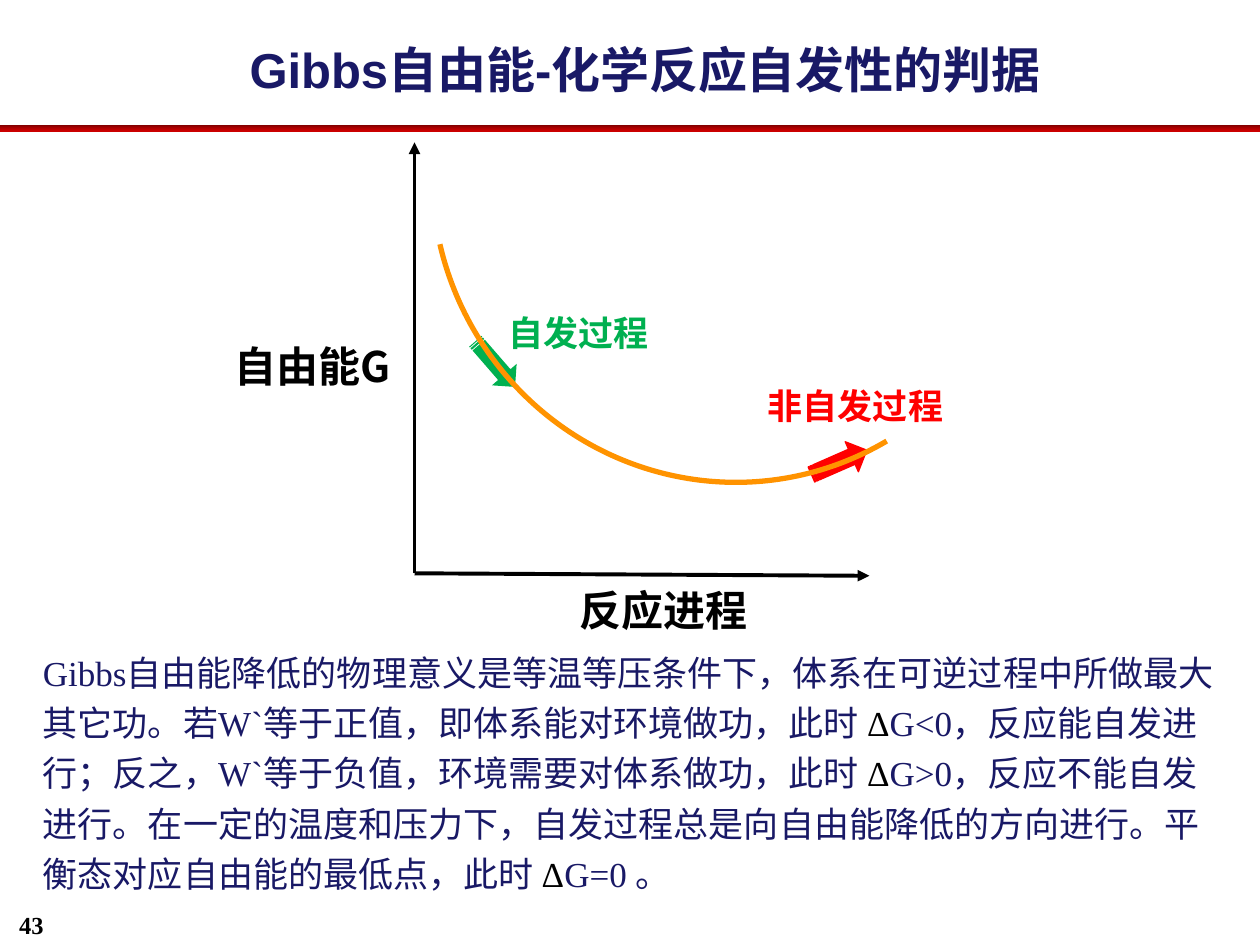
from copy import deepcopy
from dataclasses import dataclass

from lxml import etree
from pptx import Presentation
from pptx.dml.color import RGBColor
from pptx.enum.shapes import MSO_CONNECTOR, MSO_SHAPE
from pptx.enum.text import MSO_ANCHOR, MSO_AUTO_SIZE, PP_ALIGN
from pptx.oxml.ns import qn
from pptx.util import Inches, Pt

STRAIGHT = MSO_CONNECTOR.STRAIGHT
RECTANGLE, ARC = MSO_SHAPE.RECTANGLE, MSO_SHAPE.ARC
STRIPED_ARROW = MSO_SHAPE.STRIPED_RIGHT_ARROW
LEFT, CENTER = PP_ALIGN.LEFT, PP_ALIGN.CENTER
TOP, MIDDLE = MSO_ANCHOR.TOP, MSO_ANCHOR.MIDDLE
NO_FIT = MSO_AUTO_SIZE.NONE


@dataclass(frozen=True)
class Theme:
    navy: str = "191966"
    black: str = "000000"
    green: str = "00B050"
    red: str = "FF0000"
    orange: str = "FF9300"
    rule: tuple = ("790000", "AC0000", "CC0000")
    heading_font: str = "Arial"
    text_font: str = "Times New Roman"
    label_font: str = "Noto Sans CJK SC"
    title_size: int = 28
    axis_size: int = 24
    text_size: int = 20
    number_size: int = 14


@dataclass(frozen=True)
class Box:
    left: float
    top: float
    width: float
    height: float

    def inner(self, left, top, width, height):
        return Box(self.left + left, self.top + top, width, height)

    def emu(self):
        return [Inches(v) for v in (self.left, self.top, self.width, self.height)]


THEME = Theme()


def rgb(value):
    return RGBColor.from_string(value)


def style(paragraph, font, size, color, bold=False, align=LEFT):
    paragraph.alignment = align
    paragraph.font.name = font
    paragraph.font.size = Pt(size)
    paragraph.font.bold = bold
    paragraph.font.color.rgb = rgb(color)
    defaults = paragraph._p.pPr.find(qn("a:defRPr"))
    etree.SubElement(defaults, qn("a:ea")).set("typeface", THEME.label_font)


def place(placeholder, box, anchor):
    placeholder.left, placeholder.top, placeholder.width, placeholder.height = box.emu()
    frame = placeholder.text_frame
    frame.word_wrap, frame.auto_size, frame.vertical_anchor = True, NO_FIT, anchor
    return frame


def add_label(shapes, box, text, font, size, color, align=LEFT):
    frame = shapes.add_textbox(*box.emu()).text_frame
    frame.word_wrap = True
    frame.text = text
    style(frame.paragraphs[0], font, size, color, True, align)


def add_axis(shapes, start, end):
    axis = shapes.add_connector(STRAIGHT, *[Inches(v) for v in (*start, *end)])
    axis.line.color.rgb = rgb(THEME.black)
    axis.line.width = Pt(2.25)
    properties = axis._element.spPr
    etree.SubElement(properties.find(qn("a:ln")), qn("a:tailEnd")).set("type", "triangle")
    etree.SubElement(properties, qn("a:effectLst"))


def add_arrow(shapes, box, angle, color, outlined):
    arrow = shapes.add_shape(STRIPED_ARROW, *box.emu())
    arrow.shadow.inherit = False
    arrow.rotation = angle
    arrow.fill.solid()
    arrow.fill.fore_color.rgb = rgb(color)
    if outlined:
        arrow.line.color.rgb = rgb(color)
        arrow.line.width = Pt(0.75)
    else:
        arrow.line.fill.background()


def add_title(slide, box):
    frame = place(slide.shapes.title, box, MIDDLE)
    frame.text = "Gibbs自由能-化学反应自发性的判据"
    style(frame.paragraphs[0], THEME.heading_font, THEME.title_size,
          THEME.navy, True, CENTER)


def add_rule(slide, box):
    rule = slide.shapes.add_shape(RECTANGLE, *box.emu())
    rule.shadow.inherit = False
    rule.line.fill.background()
    rule.fill.gradient()
    rule.fill.gradient_angle = 270
    first = rule._element.spPr.find(".//" + qn("a:gs"))
    first.addnext(deepcopy(first))
    for stop, color, position in zip(rule.fill.gradient_stops, THEME.rule, (0, 0.5, 1)):
        stop.color.rgb = rgb(color)
        stop.position = position


def add_energy_diagram(slide, box):
    shapes = slide.shapes.add_group_shape().shapes

    # Axes
    origin = (box.left + 1.53, box.top + 3.42)
    add_axis(shapes, origin, (box.left + 5.14, box.top + 3.44))
    add_axis(shapes, origin, (origin[0], box.top))

    # Process arrows, under the curve
    add_arrow(shapes, box.inner(4.66, 2.41, 0.48, 0.26), 336.3, THEME.red, True)
    add_arrow(shapes, box.inner(1.93, 1.63, 0.48, 0.26), 49, THEME.green, False)

    # Free energy curve
    curve = shapes.add_shape(ARC, *box.inner(1.67, -2.16, 4.78, 4.86).emu())
    curve.shadow.inherit = False
    curve.rotation = 165.3
    curve.adjustments[0], curve.adjustments[1] = 152.76, 1.02
    curve.fill.background()
    curve.line.color.rgb = rgb(THEME.orange)
    curve.line.width = Pt(3)

    # Axis and process labels
    axis, process = THEME.axis_size, THEME.text_size
    for text, label_box, size, color, align in (
        ("自由能G", (0, 1.52, 1.47, 0.5), axis, THEME.black, LEFT),
        ("反应进程", (2.74, 3.46, 1.56, 0.5), axis, THEME.black, LEFT),
        ("自发过程", (2.12, 1.29, 1.42, 0.44), process, THEME.green, CENTER),
        ("非自发过程", (4.22, 1.87, 1.62, 0.44), process, THEME.red, CENTER),
    ):
        add_label(shapes, box.inner(*label_box), text, THEME.label_font,
                  size, color, align)


def add_explanation(slide, box):
    text = ("Gibbs自由能降低的物理意义是等温等压条件下，体系在可逆过程中所做最大其它功。"
            "若W`等于正值，即体系能对环境做功，此时 ΔG<0，反应能自发进行；"
            "反之，W`等于负值，环境需要对体系做功，此时 ΔG>0，反应不能自发进行。"
            "在一定的温度和压力下，自发过程总是向自由能降低的方向进行。"
            "平衡态对应自由能的最低点，此时 ΔG=0 。")
    paragraph = place(slide.placeholders[1], box, TOP).paragraphs[0]
    paragraph.line_spacing = 1.2
    paragraph.space_before = Pt(0)
    properties = paragraph._p.get_or_add_pPr()
    properties.set("marL", "0")
    properties.set("indent", "0")
    etree.SubElement(properties, qn("a:buNone"))
    style(paragraph, THEME.text_font, THEME.text_size, THEME.navy)

    # Each delta stands out in black
    opening, *rest = text.split("Δ")
    paragraph.add_run().text = opening
    for passage in rest:
        delta = paragraph.add_run()
        delta.text = "Δ"
        delta.font.color.rgb = rgb(THEME.black)
        paragraph.add_run().text = passage


def main():
    presentation = Presentation()
    presentation.slide_width, presentation.slide_height = Inches(10), Inches(7.5)
    slide = presentation.slides.add_slide(presentation.slide_layouts[1])
    add_explanation(slide, Box(0.24, 5.05, 9.57, 2.08))
    add_rule(slide, Box(0, 0.99, 10, 0.05))
    add_title(slide, Box(1.46, 0.13, 7.32, 0.83))
    add_energy_diagram(slide, Box(1.76, 1.13, 6.45, 3.96))
    # Page number
    add_label(slide.shapes, Box(0, 7.17, 0.5, 0.25), "43", THEME.text_font,
              THEME.number_size, THEME.black, CENTER)
    presentation.save("out.pptx")


if __name__ == "__main__":
    main()
